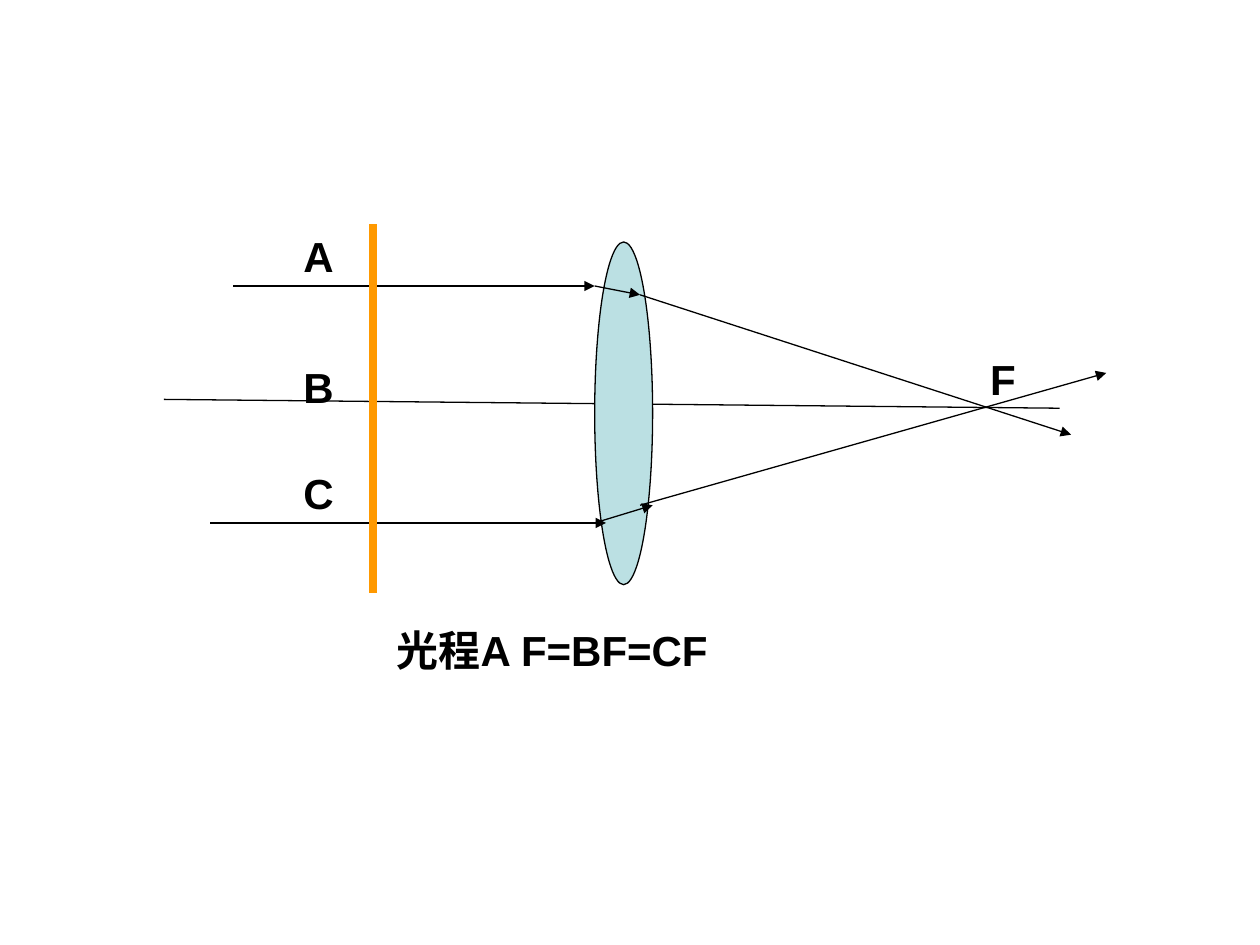
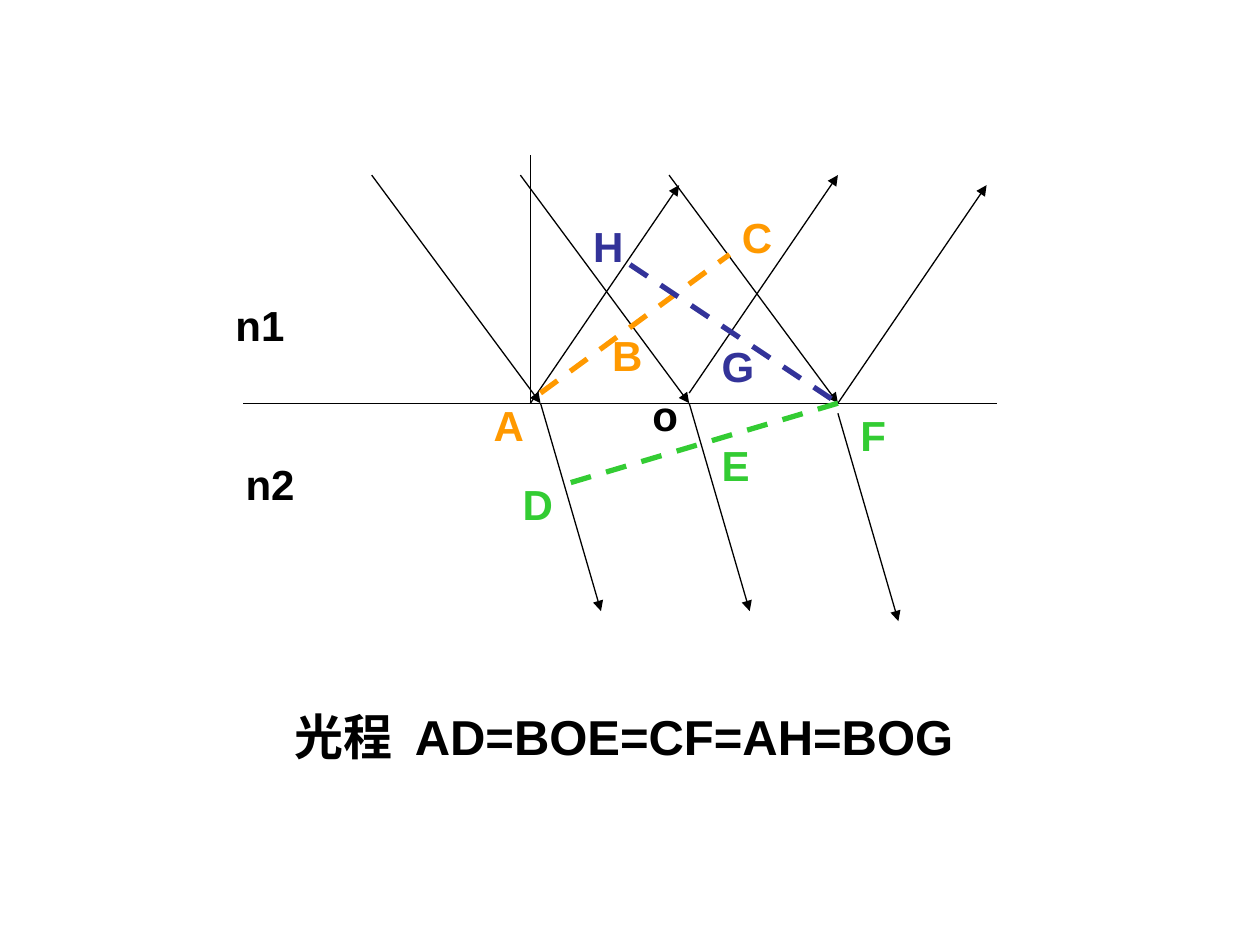
"""Two optics diagrams: equal optical paths through a lens and at an interface."""
from lxml import etree
from pptx import Presentation
from pptx.dml.color import RGBColor
from pptx.enum.dml import MSO_LINE
from pptx.enum.shapes import MSO_CONNECTOR, MSO_SHAPE
from pptx.enum.text import MSO_ANCHOR
from pptx.oxml.ns import qn
from pptx.util import Inches, Pt

STRAIGHT = MSO_CONNECTOR.STRAIGHT
ELLIPSE = MSO_SHAPE.OVAL
DASH = MSO_LINE.DASH
TOP = MSO_ANCHOR.TOP

COLOURS = {
    "ink": "000000",
    "lens": "BBE0E3",
    "orange": "FF9900",
    "green": "33CC33",
    "indigo": "333399",
}
FONT = "Arial"
COLUMNS, ROWS = 100, 75
THIN, DASHED, SCREEN = 0.75, 3, 4.5
LABEL_HEIGHT = 5


def colour(name):
    """Return the named palette colour."""
    return RGBColor.from_string(COLOURS[name])


def write(frame, text, size=24, ink="ink", bold=True):
    """Put one formatted paragraph into a text frame."""
    para = frame.paragraphs[0]
    para.space_before = Pt(2)
    span = para.add_run()
    span.text = text
    span.font.name = FONT
    span.font.size = Pt(size)
    span.font.bold = bold
    span.font.color.rgb = colour(ink)


class Diagram:
    """Holds the deck and the current page; draws on a grid of columns and rows."""

    def __init__(self):
        """Start an empty deck."""
        self.deck = Presentation()
        self.deck.slide_width = Inches(10)
        self.deck.slide_height = Inches(7.5)
        self.page = None

    def new_page(self):
        """Add a blank page and make it current."""
        self.page = self.deck.slides.add_slide(self.deck.slide_layouts[6])

    def place(self, column, row):
        """Turn a grid position or extent into slide lengths."""
        return (round(self.deck.slide_width * column / COLUMNS),
                round(self.deck.slide_height * row / ROWS))

    def line(self, start, end, ink="ink", width=THIN, dash=None, arrow=False):
        """Draw a straight line, dashed or with an arrowhead if asked."""
        connector = self.page.shapes.add_connector(
            STRAIGHT, *self.place(*start), *self.place(*end))
        connector.line.color.rgb = colour(ink)
        connector.line.width = Pt(width)
        if dash is not None:
            connector.line.dash_style = dash
        properties = connector._element.spPr
        if arrow:
            outline = properties.find(qn("a:ln"))
            etree.SubElement(outline, qn("a:tailEnd"), type="triangle")
        etree.SubElement(properties, qn("a:effectLst"))

    def ray(self, start, end):
        """Draw a light ray with an arrowhead."""
        self.line(start, end, arrow=True)

    def wavefront(self, start, end, ink):
        """Draw a dashed wavefront."""
        self.line(start, end, ink, DASHED, DASH)

    def lens(self, column, row, width, height):
        """Draw an elliptical lens."""
        shape = self.page.shapes.add_shape(
            ELLIPSE, *self.place(column, row), *self.place(width, height))
        shape.shadow.inherit = False
        shape.fill.solid()
        shape.fill.fore_color.rgb = colour("lens")
        shape.line.color.rgb = colour("ink")
        shape.line.width = Pt(THIN)

    def label(self, text, column, row, width, height=LABEL_HEIGHT, **style):
        """Write a label at a grid position."""
        box = self.page.shapes.add_textbox(
            *self.place(column, row), *self.place(width, height))
        box.text_frame.word_wrap = True
        box.text_frame.vertical_anchor = TOP
        write(box.text_frame, text, **style)


def draw_lens_page(diagram):
    """Parallel rays focused by a lens."""
    diagram.new_page()
    diagram.line((13, 31.7), (84.1, 32.4))
    diagram.lens(47.2, 19.2, 4.6, 27.2)
    for start, end in [
        ((18.5, 22.7), (47.2, 22.7)),
        ((47.2, 22.7), (50.8, 23.4)),
        ((50.8, 23.4), (85, 34.5)),
        ((16.7, 41.5), (48.1, 41.5)),
        ((47.2, 41.5), (51.8, 40.1)),
        ((50.8, 40.1), (87.8, 29.6)),
    ]:
        diagram.ray(start, end)
    diagram.line((29.6, 17.8), (29.6, 47.1), "orange", SCREEN)
    for text, row in [("A", 17.8), ("B", 28.2), ("C", 36.6)]:
        diagram.label(text, 23.1, row, 7.4)
    diagram.label("F", 77.6, 27.6, 7.4)
    diagram.label("光程A F=BF=CF", 30.5, 49.1, 33.3)


def draw_interface_page(diagram):
    """Parallel rays reflected and refracted at a plane interface."""
    diagram.new_page()
    surface, pitch = 32, 11.8
    diagram.line((19.3, surface), (79.1, surface))
    diagram.line((42.1, surface), (42.1, 12.3))
    for index in range(3):
        column = 29.5 + index * pitch
        diagram.ray((column, 13.9), (column + 13.4, surface))
    for column, row in [(42.9, surface), (54.7, surface), (66.5, 32.8)]:
        diagram.ray((column, row), (column + 4.8, row + 16.5))
    for column, row in [(42.1, surface), (54.7, 31.2), (66.5, surface)]:
        diagram.ray((column, row), (column + pitch, row - 17.3))

    diagram.wavefront((42.9, 31.2), (57.9, 20.2), "orange")
    diagram.wavefront((66.5, surface), (45.3, 38.3), "green")
    diagram.wavefront((50, 21), (66.5, surface), "indigo")

    for text, column, row, width, ink in [
        ("A", 38.2, 31.2, 4.7, "orange"),
        ("B", 47.6, 25.7, 4.7, "orange"),
        ("C", 57.9, 16.3, 4.7, "orange"),
        ("D", 40.5, 37.5, 7.1, "green"),
        ("E", 56.3, 34.4, 6.3, "green"),
        ("F", 67.3, 32, 4.7, "green"),
        ("G", 56.3, 26.5, 4.7, "indigo"),
        ("H", 46.1, 17, 4.7, "indigo"),
        ("o", 50.8, 30.4, 6.3, "ink"),
        ("n1", 17.7, 23.3, 7.9, "ink"),
        ("n2", 18.5, 35.9, 7.9, "ink"),
    ]:
        diagram.label(text, column, row, width, ink=ink)
    diagram.label("光程  AD=BOE=CF=AH=BOG", 22.4, 55.6, 62.2, 5.7, size=28)


def main():
    """Build both pages and save the deck."""
    diagram = Diagram()
    draw_lens_page(diagram)
    draw_interface_page(diagram)
    diagram.deck.save("out.pptx")


main()
